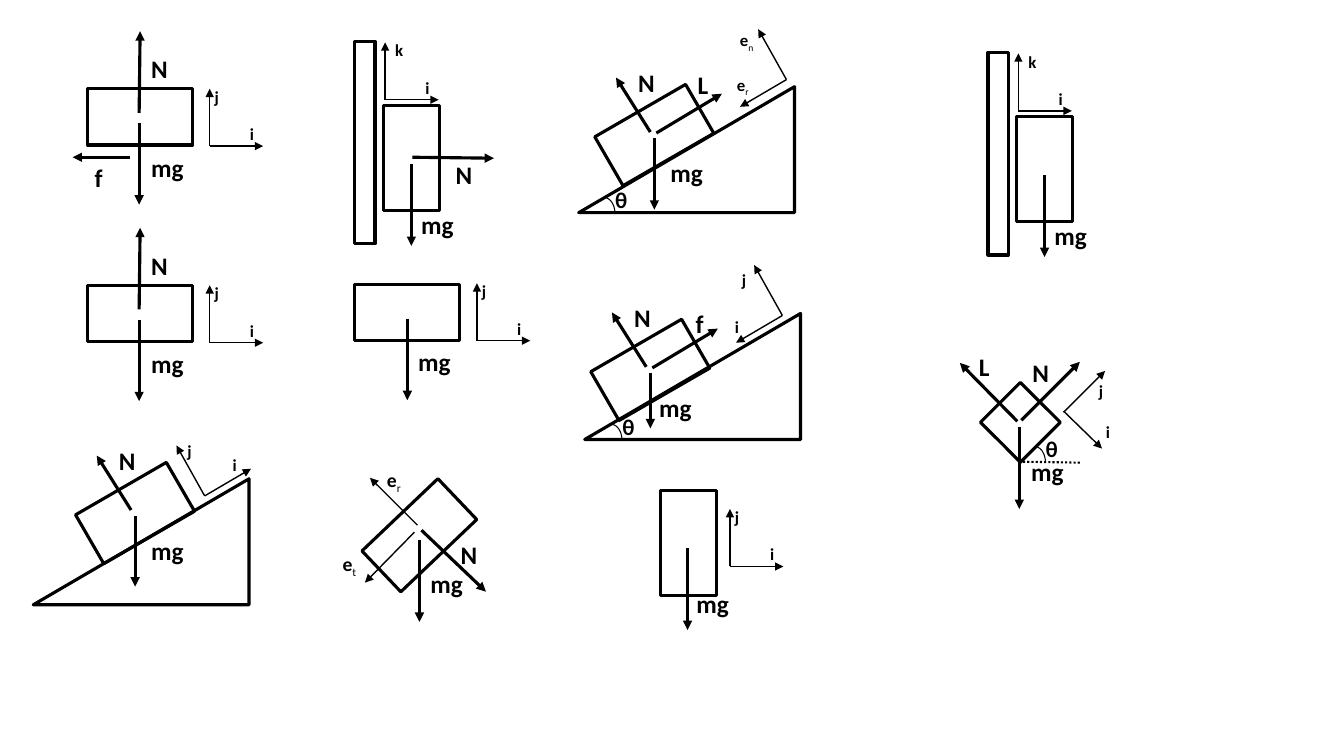
from lxml import etree
from pptx import Presentation
from pptx import util as u
from pptx.dml.color import RGBColor
from pptx.enum import dml, shapes, text
from pptx.oxml.ns import qn

BLACK = RGBColor(0, 0, 0)
PX = 9144
FONT = "Calibri"
WIDTHS = {"mg": 53, "N": 37, "L": 31, "f": 28}
KIND = shapes.MSO_SHAPE


class Board:
    def __init__(self, slide):
        self.items = slide.shapes

    def ink(self, line, width):
        line.color.rgb = BLACK
        line.width = u.Pt(width)

    def shape(self, kind, x, y, w, h, turn=0, width=2.25):
        item = self.items.add_shape(kind, x * PX, y * PX, w * PX, h * PX)
        item.rotation = turn
        item.shadow.inherit = False
        item.fill.background()
        self.ink(item.line, width)
        return item

    def block(self, x, y, turn=0):
        self.shape(KIND.RECTANGLE, x, y, 104, 56, turn)

    def line(self, x, y, dx, dy, width=2.25, dash=None):
        item = self.items.add_connector(
            shapes.MSO_CONNECTOR.STRAIGHT, x * PX, y * PX, (x + dx) * PX, (y + dy) * PX)
        self.ink(item.line, width)
        props = item.element.spPr
        if dash:
            item.line.dash_style = dash
        else:
            head = etree.SubElement(props.get_or_add_ln(), qn("a:tailEnd"))
            head.set("type", "triangle")
        etree.SubElement(props, qn("a:effectLst"))

    def label(self, words, x, y, w, h, size, wrap=True, sub=""):
        item = self.items.add_textbox(x * PX, y * PX, w * PX, h * PX)
        frame = item.text_frame
        frame.word_wrap = wrap
        frame.auto_size = text.MSO_AUTO_SIZE.SHAPE_TO_FIT_TEXT
        para = frame.paragraphs[0]
        font = para.font
        font.name, font.size, font.bold = FONT, u.Pt(size), True
        font.color.rgb = BLACK
        para.add_run().text = words
        if sub:
            run = para.add_run()
            run.text = sub
            run.font.bold = False
            item.element.xpath(".//a:rPr")[-1].set("baseline", "-25000")

    def force(self, name, x, y):
        self.label(name, x, y, WIDTHS[name], 40, 18, wrap=False)

    def unit(self, name, x, y):
        self.label(name, x, y, 25, 30, 12)

    def weight(self, x, y, tx, ty, fall=81):
        self.line(x, y, 0, fall)
        self.force("mg", tx, ty)

    def axes(self, x, y, name="j", shift=-5):
        self.line(x, y, 0, -57, 1)
        self.line(x, y, 53, 0, 1)
        self.unit(name, x + shift, y - 64)
        self.unit("i", x + 30, y - 27)

    def tilt(self, x, y, side):
        self.line(x, y, -28, -50, 1)
        self.line(x, y, 46 * side, -27 * side, 1)

    def angle(self, x, y):
        self.shape(KIND.ARC, x, y, 21, 32, width=0.75)
        self.label("θ", x + 16, y - 16, 15, 37, 16)

    def table(self, x, y):
        self.block(x, y)
        self.line(x + 51, y + 24, 1, -81)
        self.force("N", x + 53, y - 40)
        self.weight(x + 51, y + 34, x + 53, y + 58)
        self.axes(x + 121, y + 57)

    def wall(self, x, y):
        self.shape(KIND.RECTANGLE, x, y, 20, 201)
        self.block(x + 4, y + 88, 90)
        self.weight(x + 56, y + 122, x + 56, y + 162)
        self.axes(x + 30, y + 58, "k", 0)

    def ramp(self, x, y, bx, by, fall, mx):
        self.shape(KIND.ISOSCELES_TRIANGLE, x, y, 214, 125).adjustments[0] = 1
        self.block(bx, by, 330)
        self.line(bx + 48, by + 25, -34, -54)
        self.force("N", bx + 26, by - 44)
        self.weight(bx + 52, by + 31, bx + mx, by + 45, fall)

    def pull(self, name, bx, by, tx, ty):
        self.line(bx + 54, by + 26, 65, -39)
        self.force(name, tx, ty)


def main():
    deck = Presentation()
    deck.slide_width, deck.slide_height = u.Inches(13.33), u.Inches(7.5)
    board = Board(deck.slides.add_slide(deck.slide_layouts[6]))

    for y in (88, 283):
        board.table(87, y)
    board.line(129, 156, -57, 0)
    board.force("f", 84, 156)

    for x, y in ((352, 41), (980, 52)):
        board.wall(x, y)
    board.line(409, 156, 81, 1)
    board.force("N", 442, 153)

    board.block(352, 282)
    board.weight(404, 316, 405, 339)
    board.axes(473, 338)

    board.block(631, 511, 90)
    board.weight(682, 544, 681, 579)
    board.axes(724, 562)

    board.ramp(574, 86, 597, 106, 71, 58)
    board.pull("L", 597, 106, 682, 64)
    board.angle(589, 196)
    board.tilt(780, 79, -1)
    board.label("e", 724, 25, 40, 30, 12, sub="n")
    board.label("e", 721, 69, 40, 30, 12, sub="r")

    board.ramp(580, 311, 593, 339, 55, 51)
    board.pull("f", 593, 339, 680, 301)
    board.angle(596, 421)
    board.tilt(776, 313, -1)
    board.unit("j", 726, 263)
    board.unit("i", 719, 309)

    board.ramp(33, 475, 82, 481, 70, 58)
    board.tilt(203, 492, 1)
    board.unit("j", 176, 432)
    board.unit("i", 221, 446)

    board.block(364, 503, 316.4)
    board.weight(416, 536, 417, 559)
    board.line(418, 526, 64, 61)
    board.force("N", 447, 530)
    board.line(414, 521, -47, -47, 1)
    board.line(411, 528, -49, 50, 1)
    board.label("e", 374, 459, 44, 34, 14, sub="r")
    board.label("e", 330, 543, 44, 34, 14, sub="t")

    board.shape(KIND.RECTANGLE, 984, 391, 56, 56, 45)
    board.weight(1011, 424, 1013, 448)
    board.line(1013, 417, 58, -58)
    board.force("N", 1014, 350)
    board.line(1009, 418, -57, -58)
    board.force("L", 961, 344)
    board.line(1055, 409, 41, -41, 1)
    board.line(1055, 408, 38, 37, 1)
    board.unit("j", 1080, 373)
    board.unit("i", 1087, 413)
    board.line(1071, 459, -60, -1, 1.5, dml.MSO_LINE.ROUND_DOT)
    board.angle(1016, 443)

    deck.save("out.pptx")


if __name__ == "__main__":
    main()
